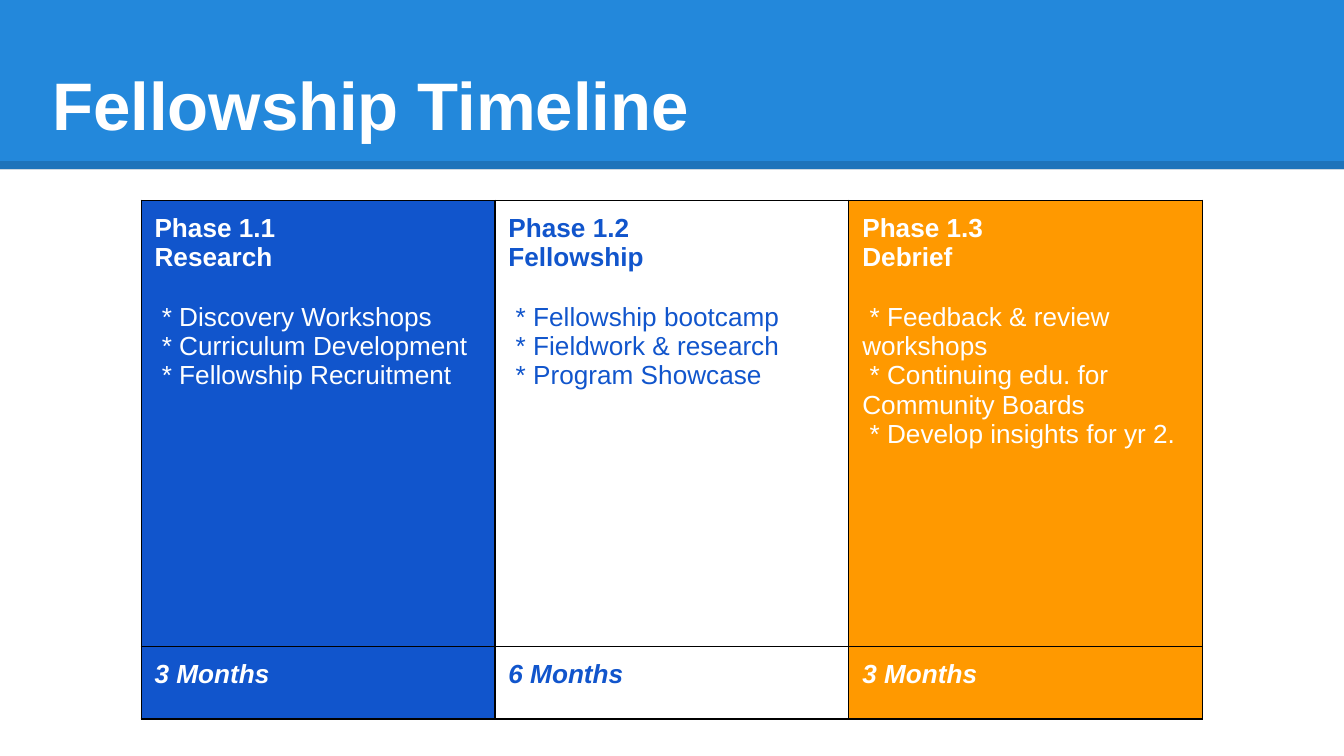
"""Build the Fellowship Timeline slide with a three-phase table."""
import lxml.etree
import pptx
import pptx.dml.color
import pptx.enum.shapes
import pptx.enum.text
import pptx.oxml.ns
import pptx.util

Inches = pptx.util.Inches
Pt = pptx.util.Pt
qn = pptx.oxml.ns.qn


def color(value):
    return pptx.dml.color.RGBColor.from_string(value)


def style(para, size, value, bold=False, italic=False):
    for span in para.runs:
        span.font.name = "Arial"
        span.font.size = Pt(size)
        span.font.bold = bold
        span.font.italic = italic
        span.font.color.rgb = color(value)


phases = [
    ("1155CC", "FFFFFF", ["Phase 1.1", "Research"],
     ["Discovery Workshops", "Curriculum Development", "Fellowship Recruitment"],
     "3 Months"),
    (None, "1155CC", ["Phase 1.2", "Fellowship"],
     ["Fellowship bootcamp", "Fieldwork & research", "Program Showcase"],
     "6 Months"),
    ("FF9900", "FFFFFF", ["Phase 1.3", "Debrief"],
     ["Feedback & review workshops", "Continuing edu. for Community Boards",
      "Develop insights for yr 2."],
     "3 Months"),
]

deck = pptx.Presentation()
deck.slide_width = Inches(10)
deck.slide_height = Inches(10 * 9 / 16)
page = deck.slides.add_slide(deck.slide_layouts[6])

banner = page.shapes.add_shape(
    pptx.enum.shapes.MSO_SHAPE.RECTANGLE, 0, 0, Inches(10), Inches(1.26))
banner.shadow.inherit = False
banner.fill.solid()
banner.fill.fore_color.rgb = color("2388DB")
banner.line.fill.background()

rule = page.shapes.add_connector(
    pptx.enum.shapes.MSO_CONNECTOR.STRAIGHT, 0, Inches(1.23), Inches(10), Inches(1.23))
rule.line.width = Pt(4.5)
rule.line.color.rgb = color("000000")
shade = rule.line._ln.find(".//" + qn("a:srgbClr"))
lxml.etree.SubElement(shade, qn("a:alpha"), val="15000")
lxml.etree.SubElement(rule._element.spPr, qn("a:effectLst"))

title = page.shapes.add_textbox(Inches(0.29), Inches(0.23), Inches(9.21), Inches(0.94))
frame = title.text_frame
frame.word_wrap = True
frame.vertical_anchor = pptx.enum.text.MSO_ANCHOR.BOTTOM
frame.margin_left = frame.margin_right = Inches(0.1)
frame.margin_top = frame.margin_bottom = Inches(0.1)
frame.text = "Fellowship Timeline"
style(frame.paragraphs[0], 36, "FFFFFF", bold=True)

table = page.shapes.add_table(
    2, 3, Inches(1.05), Inches(1.49), Inches(7.9), Inches(3.86)).table
table.first_row = False
table.horz_banding = False
table.rows[0].height = Inches(3.32)
table.rows[1].height = Inches(0.54)

for column, (fill, ink, heading, tasks, duration) in enumerate(phases):
    table.columns[column].width = Inches(7.9 / 3)
    details, length = table.cell(0, column), table.cell(1, column)
    for cell in (details, length):
        cell.margin_left = cell.margin_right = Inches(0.1)
        cell.margin_top = cell.margin_bottom = Inches(0.1)
        properties = cell._tc.get_or_add_tcPr()
        for side in ("lnL", "lnR", "lnT", "lnB"):
            border = lxml.etree.SubElement(properties, qn("a:" + side), w=str(Pt(0.75)))
            solid = lxml.etree.SubElement(border, qn("a:solidFill"))
            lxml.etree.SubElement(solid, qn("a:srgbClr"), val="000000")
        if fill:
            cell.fill.solid()
            cell.fill.fore_color.rgb = color(fill)
        else:
            cell.fill.background()

    details.text_frame.text = "\n".join(heading + [" * " + task for task in tasks])
    paras = details.text_frame.paragraphs
    for index, para in enumerate(paras):
        style(para, 14, ink, bold=index < len(heading))
    paras[len(heading)].space_before = Pt(16)

    length.text_frame.text = duration
    style(length.text_frame.paragraphs[0], 14, ink, bold=True, italic=True)

deck.save("out.pptx")
